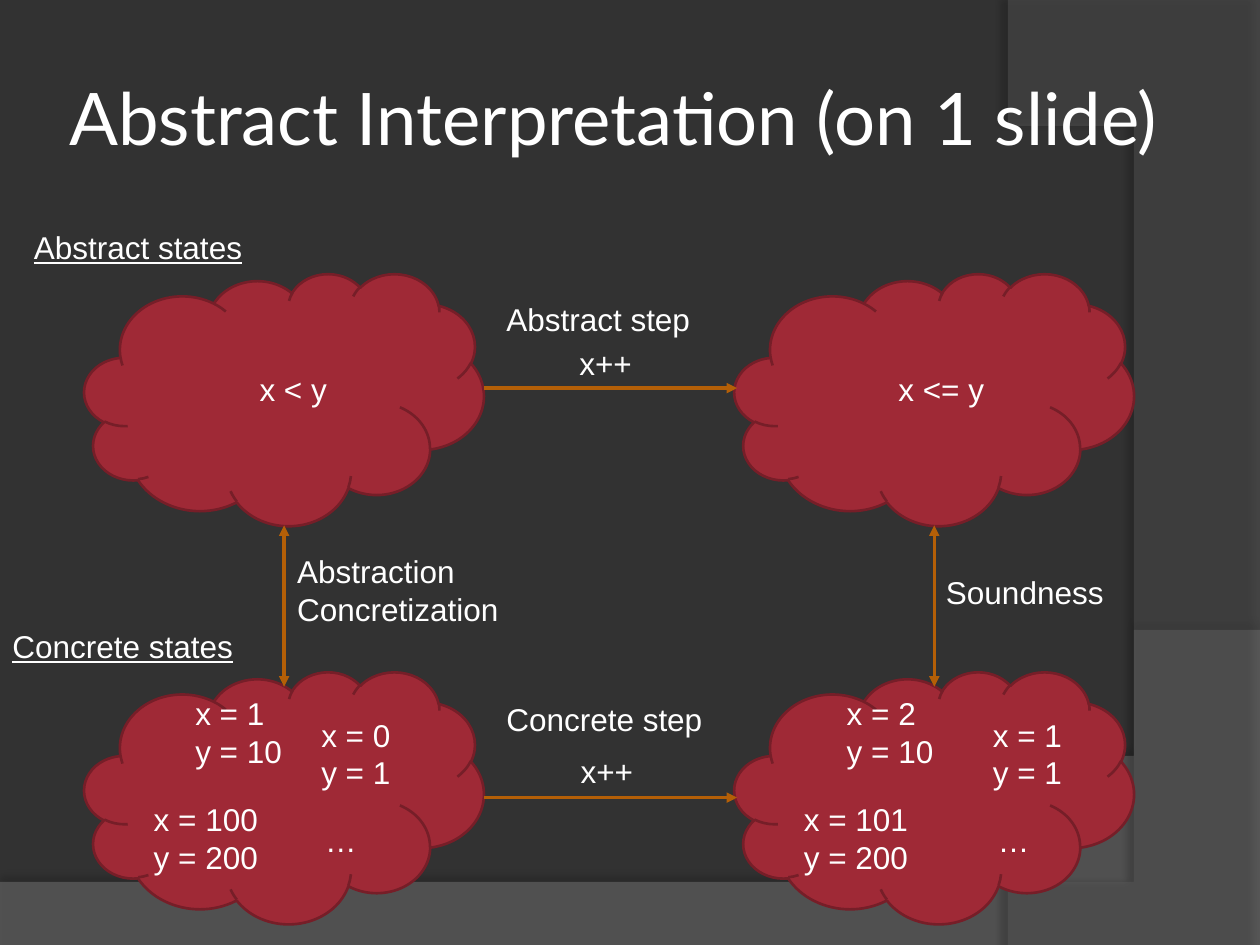
from lxml import etree
from pptx import Presentation
from pptx.dml.color import RGBColor
from pptx.enum.shapes import MSO_CONNECTOR, MSO_SHAPE
from pptx.enum.text import MSO_ANCHOR, MSO_AUTO_SIZE
from pptx.oxml.ns import qn
from pptx.util import Inches, Pt

CLOUD = MSO_SHAPE.CLOUD
STRAIGHT = MSO_CONNECTOR.STRAIGHT
MIDDLE = MSO_ANCHOR.MIDDLE
FIT_SHAPE = MSO_AUTO_SIZE.SHAPE_TO_FIT_TEXT

COLORS = {
    "background": "323232",
    "floor": "7F7F7F",
    "side": "5E5E5E",
    "cloud": "9F2936",
    "cloud_line": "761E28",
    "arrow": "B45F07",
    "text": "FFFFFF",
    "shadow": "000000",
}
LABEL_INSETS = (0.1, 0.05)
STATE_INSETS = (0.05, 0.01)
CLOUD_W, CLOUD_H = 3.17, 2
LEFT, RIGHT = 0.67, 5.83
ABSTRACT, CONCRETE = 2.17, 5.33


def rgb(name):
    return RGBColor.from_string(COLORS[name])


def bezier(p0, p1, p2, p3, steps=60):
    """Points along a cubic curve, without its start point."""
    points = []
    for i in range(1, steps + 1):
        t = i / steps
        u = 1 - t
        weights = (u**3, 3 * u * u * t, 3 * u * t * t, t**3)
        points.append(tuple(sum(w * p[axis] for w, p in zip(weights, (p0, p1, p2, p3)))
                            for axis in (0, 1)))
    return points


class SlideBuilder:
    def __init__(self, slide):
        self.s = slide
        fill = slide.background.fill
        fill.solid()
        fill.fore_color.rgb = rgb("background")

    def wave(self, points, color, opacity, shadow_opacity, distance, direction):
        """Translucent background area with a soft shadow; opacities in percent."""
        builder = self.s.shapes.build_freeform(*points[0], scale=Inches(1))
        builder.add_line_segments(points[1:], close=True)
        sp = builder.convert_to_shape()
        sp.line.fill.background()
        sp.fill.solid()
        sp.fill.fore_color.rgb = rgb(color)
        sp_pr = sp._element.spPr
        self.set_alpha(sp_pr.find(f"{qn('a:solidFill')}/{qn('a:srgbClr')}"), opacity)
        effects = etree.SubElement(sp_pr, qn("a:effectLst"))
        shadow = etree.SubElement(effects, qn("a:outerShdw"), blurRad=str(Pt(4)),
                                  dist=str(Pt(distance)), dir=str(direction * 60000),
                                  algn="ctr", rotWithShape="0")
        shadow_color = etree.SubElement(shadow, qn("a:srgbClr"), val=COLORS["shadow"])
        self.set_alpha(shadow_color, shadow_opacity)

    @staticmethod
    def set_alpha(color, percent):
        etree.SubElement(color, qn("a:alpha"), val=str(percent * 1000))

    def cloud(self, x, y):
        sp = self.s.shapes.add_shape(CLOUD, Inches(x), Inches(y),
                                     Inches(CLOUD_W), Inches(CLOUD_H))
        sp.shadow.inherit = False
        sp.fill.solid()
        sp.fill.fore_color.rgb = rgb("cloud")
        sp.line.color.rgb = rgb("cloud_line")
        sp.line.width = Pt(1.5)

    def text(self, x, y, w, h, lines, insets=LABEL_INSETS, size=18, font="Arial",
             underline=None):
        box = self.s.shapes.add_textbox(Inches(x), Inches(y), Inches(w), Inches(h))
        tf = box.text_frame
        tf.word_wrap = True
        tf.auto_size = FIT_SHAPE
        tf.margin_left = tf.margin_right = Inches(insets[0])
        tf.margin_top = tf.margin_bottom = Inches(insets[1])
        tf.text = lines
        for p in tf.paragraphs:
            p.font.name = font
            p.font.size = Pt(size)
            p.font.underline = underline
            p.font.color.rgb = rgb("text")
        return tf

    def title(self, text):
        tf = self.text(0.5, 0.3, 8.83, 1.25, text, (0.05, 0.05), 41.4, "Lato")
        tf.auto_size = MSO_AUTO_SIZE.NONE
        tf.vertical_anchor = MIDDLE

    def arrow(self, x1, y1, x2, y2, both_ends=False):
        line = self.s.shapes.add_connector(STRAIGHT, Inches(x1), Inches(y1),
                                           Inches(x2), Inches(y2))
        line.line.color.rgb = rgb("arrow")
        line.line.width = Pt(2)
        ln = line.line._get_or_add_ln()
        for tag in ("a:headEnd", "a:tailEnd") if both_ends else ("a:tailEnd",):
            etree.SubElement(ln, qn(tag), type="triangle")
        etree.SubElement(line._element.spPr, qn("a:effectLst"))


def main():
    prs = Presentation()
    prs.slide_width, prs.slide_height = Inches(10), Inches(7.5)
    s = SlideBuilder(prs.slides.add_slide(prs.slide_layouts[6]))

    floor = [(0, 7.05), (0, 7.51), (10, 7.51), (10, 5.2)]
    floor += bezier((10, 5.2), (5.59, 7.29), (3.91, 7.19), (0, 7.05))
    s.wave(floor, "floor", 45, 35, 3.5, 270)
    side = [(10, 0.02), (10, 7.5), (8.21, 7.5)]
    side += bezier((8.21, 7.5), (9.35, 6.19), (10.18, 3), (8, 0))
    s.wave(side, "side", 40, 45, 4, 180)

    s.title("Abstract Interpretation (on 1 slide)")

    for x in (LEFT, RIGHT):
        for y in (ABSTRACT, CONCRETE):
            s.cloud(x, y)
        middle = x + CLOUD_W / 2
        s.arrow(middle, ABSTRACT + CLOUD_H, middle, 5.45, both_ends=True)
    for y in (3.08, 6.33):
        s.arrow(LEFT + CLOUD_W, y, 5.85, y)

    states = [
        (2.01, 2.93, 0.72, 0.42, "x < y"),
        (7.08, 2.93, 1, 0.42, "x <= y"),
        (1.5, 5.5, 0.91, 0.83, "x = 1\ny = 10"),
        (2.5, 5.67, 0.74, 0.83, "x = 0\ny = 1"),
        (1.17, 6.34, 1.08, 0.83, "x = 100\ny = 200"),
        (2.53, 6.51, 0.33, 0.42, "…"),
        (6.67, 5.5, 0.91, 0.83, "x = 2\ny = 10"),
        (7.83, 5.67, 0.74, 0.83, "x = 1\ny = 1"),
        (6.33, 6.34, 1.08, 0.83, "x = 101\ny = 200"),
        (7.87, 6.51, 0.33, 0.42, "…"),
    ]
    for state in states:
        s.text(*state, insets=STATE_INSETS)

    s.text(0.17, 1.76, 2.22, 0.5, "Abstract states", underline=True)
    s.text(0, 4.93, 2.31, 0.5, "Concrete states", underline=True)

    labels = [
        (3.92, 2.33, 1.99, 0.5, "Abstract step"),
        (4.5, 2.68, 0.69, 0.5, "x++"),
        (3.92, 5.51, 2.09, 0.5, "Concrete step"),
        (4.51, 5.92, 0.69, 0.5, "x++"),
        (2.26, 4.33, 2.17, 0.91, "Abstraction\nConcretization"),
        (7.41, 4.5, 1.67, 0.5, "Soundness"),
    ]
    for label in labels:
        s.text(*label)

    prs.save("out.pptx")


if __name__ == "__main__":
    main()
